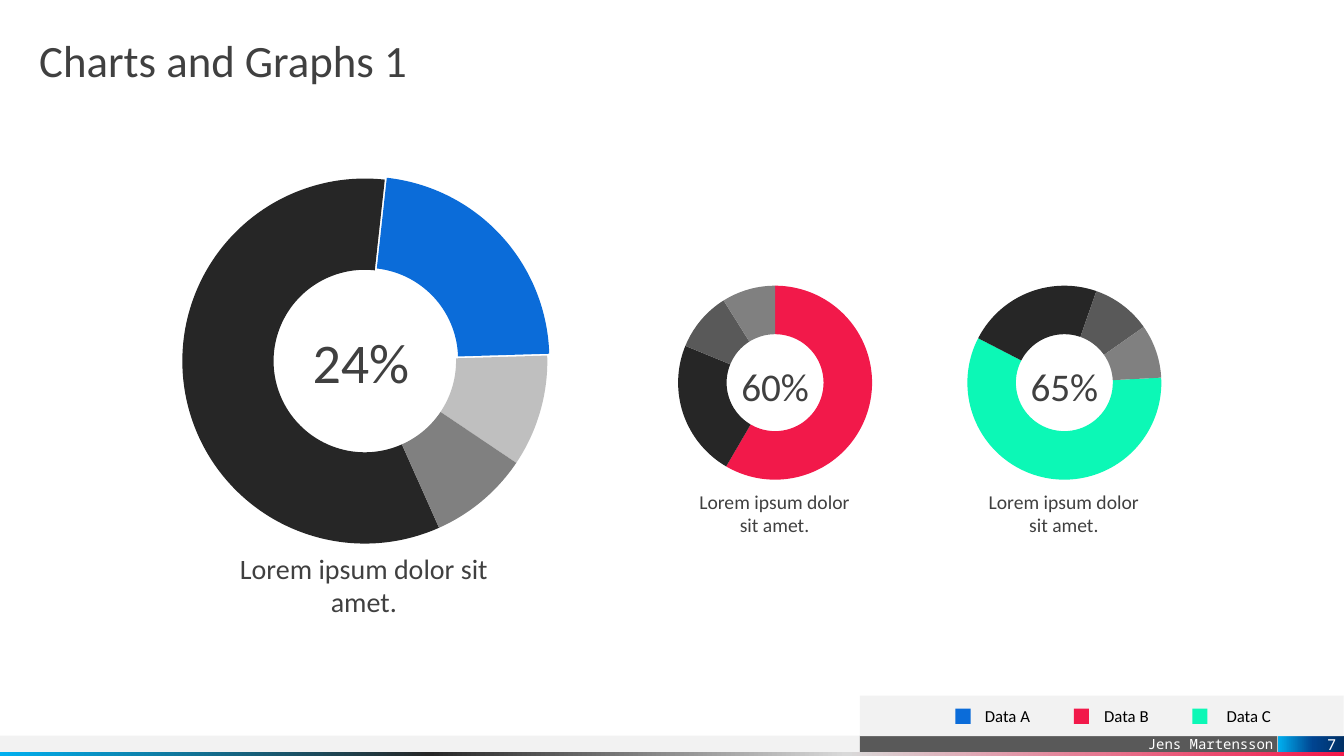
from lxml import etree
from pptx import Presentation
from pptx import util as u
from pptx.chart.data import CategoryChartData
from pptx.dml.color import RGBColor
from pptx.enum import chart as ch, shapes, text
from pptx.oxml.ns import qn

COLORS = {
    "white": "FFFFFF", "black": "000000", "text": "404040",
    "pale": "F2F2F2", "silver": "D9D9D9", "light": "BFBFBF",
    "mid": "808080", "dark": "595959", "ink": "262626",
    "blue": "0B6CD9", "red": "F2194A", "mint": "0CF8B6",
    "sky": "00B0F0", "navy": "003065", "royal": "004490",
}
VALUES = (59, 23, 10, 9)


def rgb(name):
    """Return the named colour."""
    return RGBColor.from_string(COLORS[name])


def write(shape, content, size, color="text", font="Calibri",
          align=text.PP_ALIGN.CENTER, anchor=text.MSO_ANCHOR.TOP, right=0):
    """Fill a shape with one paragraph, one run per line."""
    tf = shape.text_frame
    tf.word_wrap = True
    tf.vertical_anchor = anchor
    tf.margin_left = tf.margin_top = tf.margin_bottom = 0
    tf.margin_right = u.Cm(right)
    p = tf.paragraphs[0]
    p.alignment = align
    for i, line in enumerate(content.split("\n")):
        if i:
            p.add_line_break()
        r = p.add_run()
        r.text = line
        r.font.size = u.Pt(size)
        r.font.name = font
        r.font.color.rgb = rgb(color)
    return p


def textbox(s, box, content, size, **style):
    """Add a text box in the given box."""
    return write(s.shapes.add_textbox(*map(u.Cm, box)), content, size, **style)


def rect(s, box, color):
    """Add a plain rectangle filled with one colour."""
    sp = s.shapes.add_shape(shapes.MSO_SHAPE.RECTANGLE, *map(u.Cm, box))
    sp.shadow.inherit = False
    sp.line.fill.background()
    sp.fill.solid()
    sp.fill.fore_color.rgb = rgb(color)
    return sp


def gradient_rect(s, box, stops):
    """Add a rectangle whose gradient runs from right to left."""
    sp = rect(s, box, "white")
    sp.fill.gradient()
    sp.fill.gradient_angle = 180
    gs_list = sp._element.spPr.find(".//" + qn("a:gsLst"))
    gs_list.clear()
    for position, color in stops:
        gs = etree.SubElement(gs_list, qn("a:gs"), pos=str(position * 1000))
        etree.SubElement(gs, qn("a:srgbClr"), val=COLORS[color])
    return sp


def donut(s, box, colors, start, diameter, exploded=None):
    """Add a doughnut chart centred in the given box."""
    data = CategoryChartData()
    data.categories = ["1", "2", "3", "4"]
    data.add_series("Series 1", VALUES)
    chart = s.shapes.add_chart(
        ch.XL_CHART_TYPE.DOUGHNUT, *map(u.Cm, box), data).chart
    chart.has_legend = chart.has_title = False
    chart.font.size = u.Pt(10)
    chart.font.name = "Noto Sans Mono"
    chart.font.color.rgb = rgb("black")
    plot = chart.plots[0]
    plot.vary_by_categories = True
    for i, color in enumerate(colors):
        point = plot.series[0].points[i]
        point.format.fill.solid()
        point.format.fill.fore_color.rgb = rgb(color)
        point.format.line.fill.background()
    root = chart._chartSpace
    root.find(".//" + qn("c:firstSliceAng")).set("val", str(start))
    root.find(".//" + qn("c:holeSize")).set("val", "60")
    if exploded is not None:
        sp_pr = root.findall(".//" + qn("c:dPt"))[exploded].find(qn("c:spPr"))
        explosion = etree.Element(qn("c:explosion"), val="3")
        sp_pr.addprevious(explosion)
    area = root.find(".//" + qn("c:plotArea"))
    for old in area.findall(qn("c:layout")):
        area.remove(old)
    layout = etree.Element(qn("c:layout"))
    area.insert(0, layout)
    manual = etree.SubElement(layout, qn("c:manualLayout"))
    w, h = diameter / box[2], diameter / box[3]
    for tag, value in (("layoutTarget", "inner"), ("xMode", "edge"),
                       ("yMode", "edge"), ("x", (1 - w) / 2),
                       ("y", (1 - h) / 2), ("w", w), ("h", h)):
        etree.SubElement(manual, qn("c:" + tag), val=str(value))


def donut_panel(s, box, share, caption, sizes, nudge, **ring):
    """Place a doughnut with its central share and its caption."""
    x, y, w, h = box
    dx, dy = nudge
    donut(s, box, **ring)
    textbox(s, (x + dx, y + h / 2 - 1 + dy, w, 2), share, sizes[0],
            anchor=text.MSO_ANCHOR.MIDDLE)
    textbox(s, (x + 0.1 * w, y + 0.95 * h, 0.795 * w, 1.2), caption, sizes[1])


def legend(s, box):
    """Place the grey legend panel with its three keys."""
    x, y, w, h = box
    rect(s, box, "pale")
    keys = (("Data A", "blue", 0.74), ("Data B", "red", 0.76),
            ("Data C", "mint", 0.86))
    for i, (label, color, gap) in enumerate(keys):
        left = x + 2.41 + i * 2.985
        rect(s, (left, y + 0.33, 0.38, 0.38), color)
        textbox(s, (left + gap, y + 0.25, 1.88, 0.53), label, 12,
                color="black", align=text.PP_ALIGN.LEFT)


def footer(s, box):
    """Place the footer bars, author and slide number."""
    x, y, w, h = box
    rect(s, (x, y, 26.15, 0.41), "pale")
    author = rect(s, (x + 21.69, y, 10.52, 0.41), "dark")
    write(author, "Jens Martensson", 10, color="white", font="Noto Sans Mono",
          align=text.PP_ALIGN.RIGHT, anchor=text.MSO_ANCHOR.BOTTOM, right=0.1)
    gradient_rect(s, (x, y + 0.41, w, h - 0.41),
                  ((0, "red"), (37, "silver"), (68, "ink"), (100, "sky")))
    number = gradient_rect(s, (x + 32.22, y, w - 32.22, 0.41),
                           ((0, "navy"), (47, "royal"), (100, "sky")))
    write(number, "7", 12, color="white", align=text.PP_ALIGN.RIGHT,
          anchor=text.MSO_ANCHOR.MIDDLE, right=0.2)


def charts_slide(prs):
    """Build the slide with three doughnuts."""
    s = prs.slides.add_slide(prs.slide_layouts[6])
    footer(s, (-0.02, 18.54, 33.89, 0.51))
    title = textbox(s, (0.99, 0.99, 31.88, 1.5), "Charts and Graphs 1", 32,
                    align=text.PP_ALIGN.LEFT)
    title.line_spacing = 0.9
    donut_panel(s, (4.24, 3.78, 9.91, 10.64), "24%",
                "Lorem ipsum dolor sit amet.", (40, 20), (-0.1, 0),
                colors=("ink", "blue", "light", "mid"), start=156,
                diameter=9.2, exploded=1)
    for left, share, accent, start in ((16.74, "60%", "red", 0),
                                       (24.03, "65%", "mint", 87)):
        donut_panel(s, (left, 6.65, 5.59, 5.99), share,
                    "Lorem ipsum dolor\nsit amet.", (28, 14), (0, 0.09),
                    colors=(accent, "ink", "dark", "mid"), start=start,
                    diameter=4.89)
    legend(s, (21.67, 17.53, 12.19, 1.02))


def main():
    """Create and save the presentation."""
    prs = Presentation()
    prs.slide_width, prs.slide_height = u.Cm(33.87), u.Cm(19.05)
    charts_slide(prs)
    prs.save("out.pptx")


if __name__ == "__main__":
    main()
